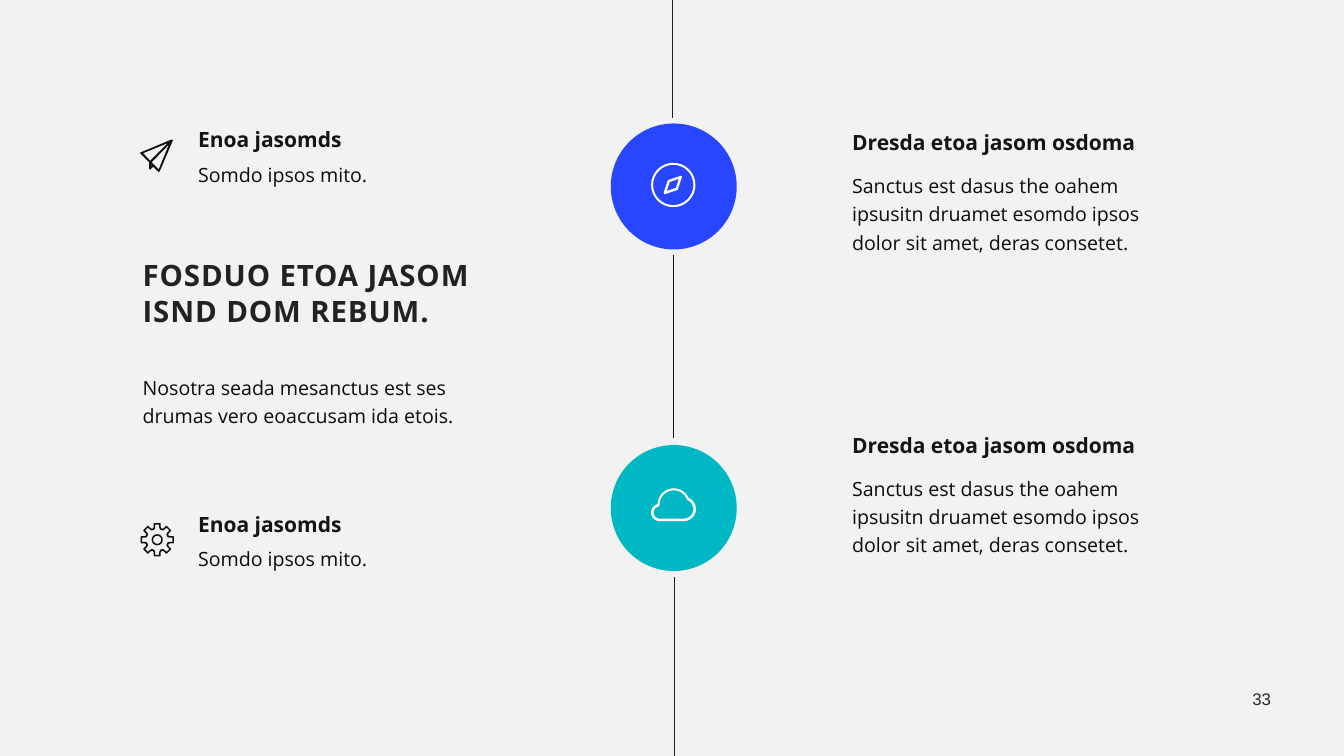
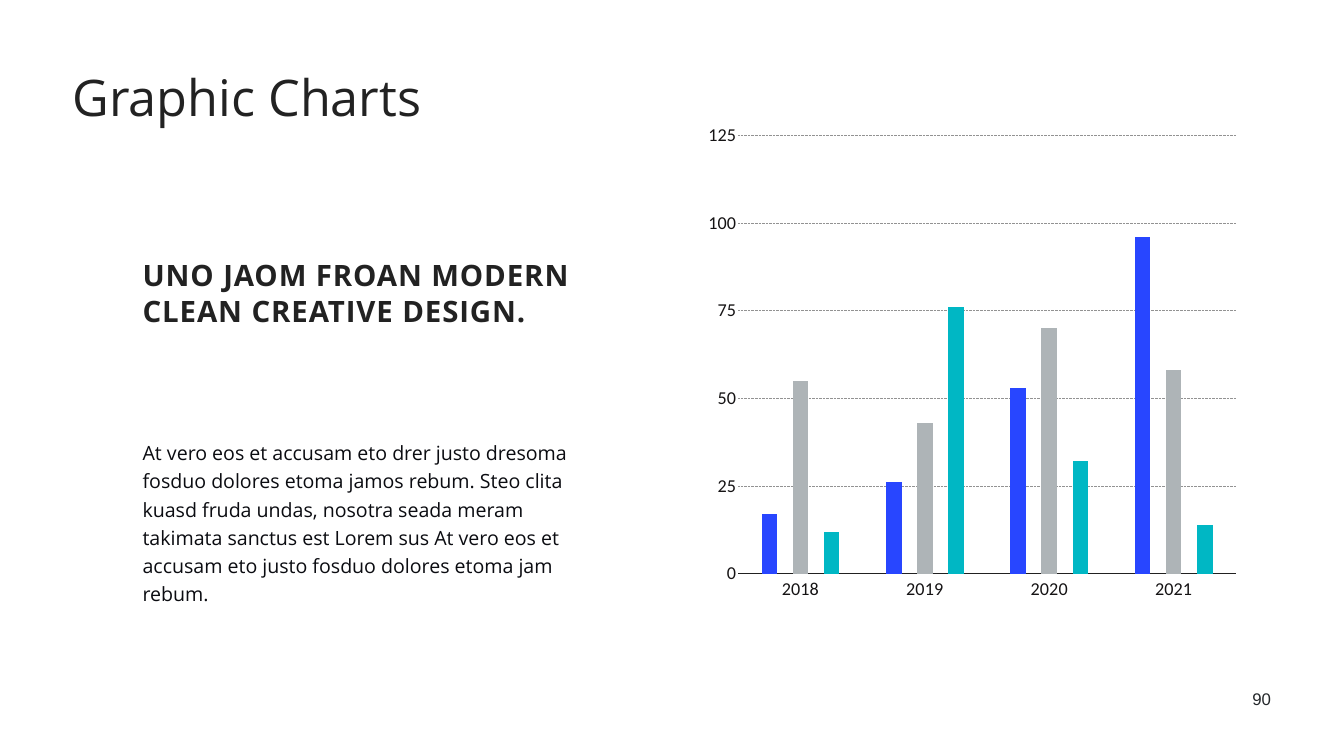
from dataclasses import dataclass
from math import cos, radians, sin
from typing import Optional

from lxml.etree import SubElement
from pptx import Presentation
from pptx.chart.data import CategoryChartData
from pptx.dml.color import RGBColor
from pptx.enum.chart import XL_CHART_TYPE, XL_TICK_LABEL_POSITION, XL_TICK_MARK
from pptx.enum.dml import MSO_LINE
from pptx.enum.shapes import MSO_CONNECTOR, MSO_SHAPE
from pptx.enum.text import MSO_ANCHOR, MSO_AUTO_SIZE, PP_ALIGN
from pptx.oxml.ns import qn
from pptx.util import Inches, Pt

Point = tuple[float, float]
Contour = list[Point]

# Shared colours
BLUE, TEAL, GREY = "2846FF", "00B7C4", "AEB4B7"
WHITE, PALE, INK, DARK = "FFFFFF", "F2F2F2", "111111", "222222"

# Shared positions
TEXT_LEFT = 2.78
HEADING_TOP = 5.06


@dataclass(frozen=True)
class Style:
    size: float
    color: str
    bold: bool = False
    font: str = "Open Sans"
    line_spacing: float = 1.0
    tracking: Optional[int] = None
    align: PP_ALIGN = PP_ALIGN.LEFT
    anchor: MSO_ANCHOR = MSO_ANCHOR.TOP
    inset: float = 0.05


TITLE = Style(72, DARK, line_spacing=0.9)
HEADING = Style(42, DARK, bold=True, tracking=130)
DETAIL_HEAD = Style(30, "151314", bold=True, line_spacing=1.2)
BODY = Style(28, "0B0C11", line_spacing=1.2)
FEATURE_HEAD = Style(30, "151314", bold=True, line_spacing=1.1, anchor=MSO_ANCHOR.MIDDLE)
FEATURE_BODY = Style(28, "0B0C11", line_spacing=1.2, anchor=MSO_ANCHOR.MIDDLE)
PAGE_NUMBER = Style(24, "24282B", font="Arial", align=PP_ALIGN.RIGHT, inset=0.06)


@dataclass(frozen=True)
class Box:
    left: float
    top: float
    width: float
    height: float

    def emu(self) -> list[int]:
        return [Inches(v) for v in (self.left, self.top, self.width, self.height)]


@dataclass(frozen=True)
class Feature:
    top: float
    icon: list[Contour]


@dataclass(frozen=True)
class Milestone:
    circle_top: float
    detail_top: float
    color: str
    icon: list[Contour]


@dataclass(frozen=True)
class Series:
    name: str
    values: tuple[int, ...]
    color: str


def rgb(color: str) -> RGBColor:
    return RGBColor.from_string(color)


def apply(target, values: dict) -> None:
    for name, value in values.items():
        setattr(target, name, value)


# Text
def write(shape, text: str, style: Style) -> None:
    frame = shape.text_frame
    inset = Inches(style.inset)
    apply(frame, {
        "text": text, "word_wrap": True, "auto_size": MSO_AUTO_SIZE.SHAPE_TO_FIT_TEXT,
        "vertical_anchor": style.anchor, "margin_left": inset, "margin_right": inset,
        "margin_top": inset, "margin_bottom": inset,
    })
    paragraph = frame.paragraphs[0]
    apply(paragraph, {"alignment": style.align, "line_spacing": style.line_spacing})
    run = paragraph.runs[0]
    apply(run.font, {"name": style.font, "size": Pt(style.size), "bold": style.bold})
    run.font.color.rgb = rgb(style.color)
    if style.tracking is not None:
        run.font._element.set("spc", str(style.tracking))


def add_text(slide, box: Box, text: str, style: Style) -> None:
    write(slide.shapes.add_textbox(*box.emu()), text, style)


def add_slide(deck, background: str, title: str, box: Box, style: Style, number: str):
    slide = deck.slides.add_slide(deck.slide_layouts[5])
    slide.background.fill.solid()
    slide.background.fill.fore_color.rgb = rgb(background)
    heading = slide.shapes.title
    apply(heading, dict(zip(("left", "top", "width", "height"), box.emu())))
    write(heading, title, style)
    add_text(slide, Box(23.89, 13.61, 1.39, 0.51), number, PAGE_NUMBER)
    return slide


# Shapes
def paint(shape, color: str) -> None:
    shape.shadow.inherit = False
    shape.fill.solid()
    shape.fill.fore_color.rgb = rgb(color)
    shape.line.fill.background()


def add_icon(slide, contours: list[Contour], color: str) -> None:
    builder = None
    for contour in contours:
        start, *rest = [(Inches(x), Inches(y)) for x, y in contour]
        if builder is None:
            builder = slide.shapes.build_freeform(*start)
        else:
            builder.move_to(*start)
        builder.add_line_segments(rest, close=True)
    paint(builder.convert_to_shape(), color)


def add_rule(slide, x: float, top: float, bottom: float, color: str) -> None:
    rule = slide.shapes.add_connector(
        MSO_CONNECTOR.STRAIGHT, Inches(x), Inches(top), Inches(x), Inches(bottom))
    rule.line.width = Pt(2)
    rule.line.color.rgb = rgb(color)
    SubElement(rule._element.spPr, qn("a:effectLst"))


# Icon outlines
def arc(center: Point, radius: float, start: float = 0, end: float = 360) -> Contour:
    steps = 32
    angles = [radians(start + (end - start) * i / steps) for i in range(steps + 1)]
    return [(center[0] + radius * cos(a), center[1] + radius * sin(a)) for a in angles]


def cog(center: Point, tooth: Contour) -> Contour:
    mirrored = tooth + [(-x, y) for x, y in reversed(tooth)]
    turns = [radians(45 * i) for i in range(8)]
    return [(center[0] + x * cos(a) - y * sin(a), center[1] + x * sin(a) + y * cos(a))
            for a in turns for x, y in mirrored]


GEAR_CENTER = (3.12, 10.71)
GEAR = [
    cog(GEAR_CENTER, [(-0.09, -0.22), (-0.07, -0.25), (-0.07, -0.32), (-0.06, -0.33)]),
    cog(GEAR_CENTER, [(-0.08, -0.19), (-0.05, -0.21), (-0.04, -0.25), (-0.04, -0.3)]),
    arc(GEAR_CENTER, 0.11),
    arc(GEAR_CENTER, 0.08),
]
PAPER_PLANE = [
    [(3.43, 2.79), (3.42, 2.77), (3.4, 2.77), (2.8, 3.02), (2.78, 3.03), (2.79, 3.05),
     (2.96, 3.22), (2.96, 3.35), (2.98, 3.37), (3.04, 3.31), (3.14, 3.41), (3.17, 3.4)],
    [(3.33, 2.84), (2.98, 3.19), (2.84, 3.04)],
    [(3, 3.3), (3, 3.27), (3.02, 3.28)],
    [(3.15, 3.36), (3.01, 3.22), (3.35, 2.87)],
]
COMPASS_CENTER = (13.36, 3.67)
COMPASS = [
    arc(COMPASS_CENTER, 0.44),
    arc(COMPASS_CENTER, 0.4),
    [(13.5, 3.49), (13.27, 3.57), (13.25, 3.58), (13.17, 3.82), (13.18, 3.85),
     (13.2, 3.85), (13.44, 3.77), (13.45, 3.76), (13.53, 3.52), (13.53, 3.5)],
    [(13.47, 3.55), (13.41, 3.73), (13.23, 3.79), (13.29, 3.61)],
]
CLOUD_LEFT, CLOUD_TOP, CLOUD_RIGHT = (13.09, 10.17), (13.37, 10.01), (13.57, 10.1)
CLOUD = [
    arc(CLOUD_LEFT, 0.17, 90, 256) + arc(CLOUD_TOP, 0.32, 180, 336)
    + arc(CLOUD_RIGHT, 0.24, -67, 90),
    arc(CLOUD_LEFT, 0.12, 90, 262) + arc(CLOUD_TOP, 0.28, 180, 338)
    + arc(CLOUD_RIGHT, 0.19, -72, 90),
]

FEATURES = [Feature(2.4, PAPER_PLANE), Feature(10.03, GEAR)]
MILESTONES = [Milestone(2.45, 2.43, BLUE, COMPASS), Milestone(8.83, 8.44, TEAL, CLOUD)]
YEARS = ("2018", "2019", "2020", "2021")
SERIES = [
    Series("Series 1", (17, 26, 53, 96), BLUE),
    Series("Series 2", (55, 43, 70, 58), GREY),
    Series("Series 3", (12, 76, 32, 14), TEAL),
]


def build_timeline(deck) -> None:
    slide = add_slide(deck, PALE, "FOSDUO ETOA JASOM ISND DOM REBUM.",
                      Box(TEXT_LEFT, HEADING_TOP, 7.94, 1.68), HEADING, "33")
    add_text(slide, Box(TEXT_LEFT, 7.31, 7.09, 1.26),
             "Nosotra seada mesanctus est ses drumas vero eoaccusam ida etois.", BODY)

    # Vertical line between the circles
    add_rule(slide, 13.35, 0, 2.34, DARK)
    add_rule(slide, 13.37, 5.06, 8.7, INK)
    add_rule(slide, 13.39, 11.44, 15, DARK)

    for milestone in MILESTONES:
        circle = slide.shapes.add_shape(
            MSO_SHAPE.OVAL, *Box(12.12, milestone.circle_top, 2.5, 2.5).emu())
        paint(circle, milestone.color)
        add_icon(slide, milestone.icon, WHITE)
        add_text(slide, Box(16.86, milestone.detail_top, 5.86, 0.67),
                 "Dresda etoa jasom osdoma", DETAIL_HEAD)
        add_text(slide, Box(16.86, milestone.detail_top + 0.88, 5.86, 1.89),
                 "Sanctus est dasus the oahem ipsusitn druamet esomdo ipsos "
                 "dolor sit amet, deras consetet.", BODY)

    for feature in FEATURES:
        add_icon(slide, feature.icon, INK)
        add_text(slide, Box(3.88, feature.top, 4.17, 0.67), "Enoa jasomds", FEATURE_HEAD)
        add_text(slide, Box(3.88, feature.top + 0.7, 4.17, 0.63),
                 "Somdo ipsos mito.", FEATURE_BODY)


def add_yearly_chart(slide, box: Box) -> None:
    data = CategoryChartData()
    data.categories = YEARS
    for series in SERIES:
        data.add_series(series.name, series.values)
    chart = slide.shapes.add_chart(
        XL_CHART_TYPE.COLUMN_CLUSTERED, *box.emu(), data).chart
    apply(chart, {"has_legend": False, "has_title": False})
    apply(chart.font, {"name": "Open Sans", "size": Pt(10)})
    chart.font.color.rgb = rgb("24282B")

    # Columns
    plot = chart.plots[0]
    apply(plot, {"gap_width": 300, "overlap": -100, "vary_by_categories": False})
    for column, series in zip(plot.series, SERIES):
        column.format.fill.solid()
        column.format.fill.fore_color.rgb = rgb(series.color)

    # Axes
    years, amounts = chart.category_axis, chart.value_axis
    for axis in (years, amounts):
        apply(axis, {"major_tick_mark": XL_TICK_MARK.NONE,
                     "minor_tick_mark": XL_TICK_MARK.NONE})
        apply(axis.tick_labels.font, {"name": "Calibri", "size": Pt(25.9)})
        axis.tick_labels.font.color.rgb = rgb("151314")
    years.tick_label_position = XL_TICK_LABEL_POSITION.LOW
    years.format.line.width = Pt(1)
    years.format.line.color.rgb = rgb("212121")
    apply(amounts, {"minimum_scale": 0, "maximum_scale": 125, "major_unit": 25,
                    "has_major_gridlines": True})
    amounts.format.line.fill.background()
    grid = amounts.major_gridlines.format.line
    grid.color.rgb = rgb("929292")
    apply(grid, {"width": Pt(1), "dash_style": MSO_LINE.ROUND_DOT})

    # Fixed inner plot area
    area = chart._chartSpace.chart.plotArea
    for old in area.findall(qn("c:layout")):
        area.remove(old)
    layout = SubElement(area, qn("c:layout"))
    area.insert(0, layout)
    manual = SubElement(layout, qn("c:manualLayout"))
    for tag, value in {"layoutTarget": "inner", "xMode": "edge", "yMode": "edge",
                       "x": 0.077, "y": 0.042, "w": 0.918, "h": 0.886}.items():
        SubElement(manual, qn(f"c:{tag}")).set("val", str(value))


def build_charts(deck) -> None:
    slide = add_slide(deck, WHITE, "Graphic Charts",
                      Box(1.39, 1.39, 8.37, 1.46), TITLE, "90")
    add_yearly_chart(slide, Box(13.82, 2.27, 10.76, 9.82))
    add_text(slide, Box(TEXT_LEFT, HEADING_TOP, 8.83, 1.68),
             "UNO JAOM FROAN MODERN CLEAN CREATIVE DESIGN.", HEADING)
    add_text(slide, Box(TEXT_LEFT, 8.61, 8.83, 3.79),
             "At vero eos et accusam eto drer justo dresoma fosduo dolores etoma jamos "
             "rebum. Steo clita kuasd fruda undas, nosotra seada meram takimata sanctus "
             "est Lorem sus At vero eos et accusam eto justo fosduo dolores etoma jam "
             "rebum.", BODY)


def main() -> None:
    deck = Presentation()
    apply(deck, {"slide_width": Inches(26.67), "slide_height": Inches(15)})
    build_timeline(deck)
    build_charts(deck)
    deck.save("out.pptx")


if __name__ == "__main__":
    main()
